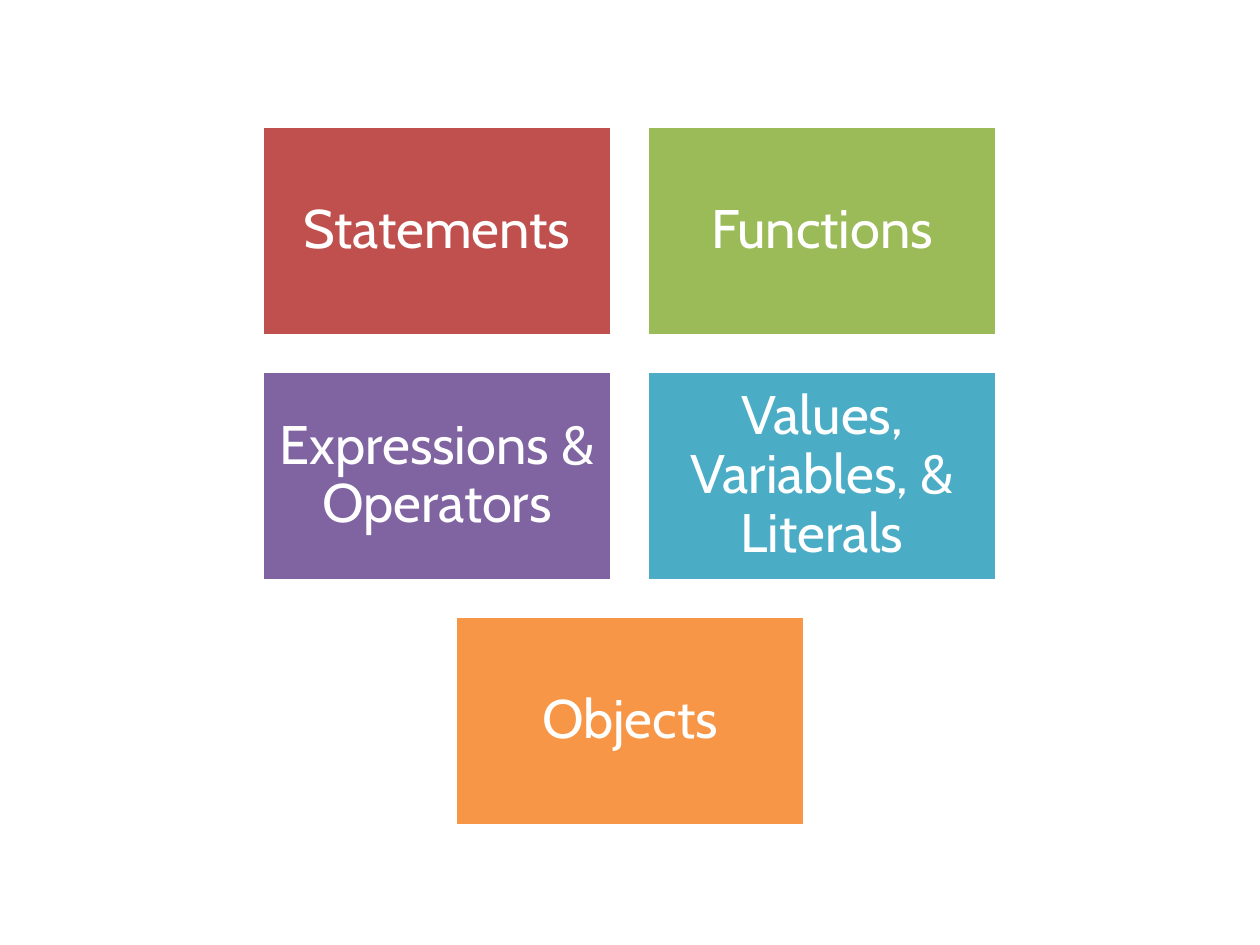
from dataclasses import dataclass

from pptx import Presentation
from pptx import util as u
from pptx.dml.color import RGBColor
from pptx.enum import shapes, text

PX = 914400 // 126  # EMU in one px
PAGE_WIDTH, PAGE_HEIGHT = 1260, 945
CARD_WIDTH, CARD_HEIGHT = 350, 210
GAP, TOP, INSET = 35, 126, 16


@dataclass(frozen=True)
class Theme:
    font: str = "Cabin"
    size: int = 31
    line_width: int = 2
    white: str = "FFFFFF"
    red: str = "C0504D"
    green: str = "9BBB59"
    purple: str = "8064A2"
    blue: str = "4BACC6"
    orange: str = "F79646"


THEME = Theme()

# Topics by row: label and fill
ROWS = [
    [("Statements", THEME.red), ("Functions", THEME.green)],
    [("Expressions & Operators", THEME.purple),
     ("Values, Variables, & Literals", THEME.blue)],
    [("Objects", THEME.orange)],
]


def px(length):
    return u.Emu(length * PX)


def color(code):
    return RGBColor.from_string(code)


def add_card(page, left, top, label, fill):
    card = page.shapes.add_shape(
        shapes.MSO_SHAPE.RECTANGLE,
        px(left), px(top), px(CARD_WIDTH), px(CARD_HEIGHT))
    card.shadow.inherit = False
    card.fill.solid()
    card.fill.fore_color.rgb = color(fill)
    card.line.color.rgb = color(THEME.white)
    card.line.width = u.Pt(THEME.line_width)

    # Centred label
    frame = card.text_frame
    frame.word_wrap = True
    frame.vertical_anchor = text.MSO_ANCHOR.MIDDLE
    frame.margin_left = frame.margin_right = px(INSET)
    frame.margin_top = frame.margin_bottom = px(INSET)
    para = frame.paragraphs[0]
    para.text = label
    para.alignment = text.PP_ALIGN.CENTER
    para.line_spacing = 0.9
    para.font.name = THEME.font
    para.font.size = u.Pt(THEME.size)
    para.font.color.rgb = color(THEME.white)


def add_row(page, top, topics):
    """Place one row of cards, centred across the page."""
    row_width = len(topics) * (CARD_WIDTH + GAP) - GAP
    start = (PAGE_WIDTH - row_width) // 2
    for column, (label, fill) in enumerate(topics):
        add_card(page, start + column * (CARD_WIDTH + GAP), top, label, fill)


def main():
    deck = Presentation()
    deck.slide_width, deck.slide_height = px(PAGE_WIDTH), px(PAGE_HEIGHT)
    page = deck.slides.add_slide(deck.slide_layouts[6])  # blank layout
    for index, topics in enumerate(ROWS):
        add_row(page, TOP + index * (CARD_HEIGHT + GAP), topics)
    deck.save("out.pptx")


if __name__ == "__main__":
    main()
